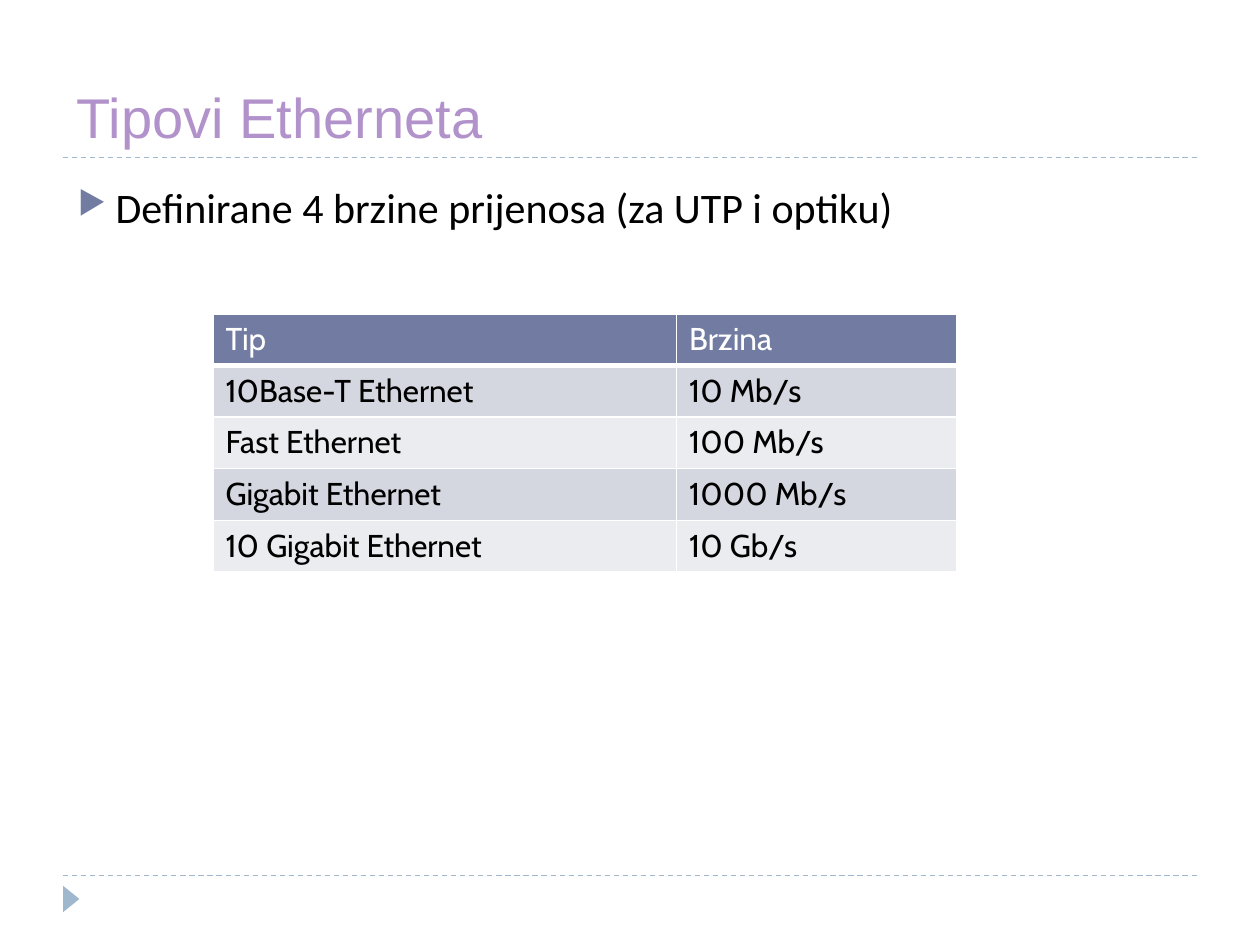
from lxml import etree
from pptx import Presentation, util as u
from pptx.dml.color import RGBColor
from pptx.enum import dml, shapes, text
from pptx.oxml.ns import qn

COLORS = {
    "rule": "9FB8CD",
    "title": "B292CA",
    "accent": "727CA3",
    "dark_band": "D5D7E0",
    "light_band": "EBECF0",
    "white": "FFFFFF",
    "black": "000000",
}


def rgb(name):
    return RGBColor.from_string(COLORS[name])


def add_color(parent, name):
    etree.SubElement(parent, qn("a:srgbClr"), val=COLORS[name])


class SlideBuilder:
    body_font = "Calibri"
    title_font = "Arial"
    table_font = "Cabin"

    def __init__(self, slide):
        self.slide = slide

    def style(self, paragraph, font, size, color):
        paragraph.font.name = font
        paragraph.font.size = u.Pt(size)
        paragraph.font.color.rgb = rgb(color)

    def rule(self, y):
        rule = self.slide.shapes.add_connector(
            shapes.MSO_CONNECTOR.STRAIGHT,
            u.Inches(0.5), u.Inches(y), u.Inches(9.5), u.Inches(y))
        rule.line.color.rgb = rgb("rule")
        rule.line.width = u.Pt(0.75)
        rule.line.dash_style = dml.MSO_LINE.DASH
        etree.SubElement(rule._element.spPr, qn("a:effectLst"))

    def marker(self, left, top, width, height):
        marker = self.slide.shapes.add_shape(
            shapes.MSO_SHAPE.ISOSCELES_TRIANGLE,
            u.Inches(left), u.Inches(top), u.Inches(width), u.Inches(height))
        marker.rotation = 90
        marker.shadow.inherit = False
        marker.fill.solid()
        marker.fill.fore_color.rgb = rgb("rule")
        marker.line.fill.background()

    def text_box(self, wording, left, top, width, height):
        box = self.slide.shapes.add_textbox(
            u.Inches(left), u.Inches(top), u.Inches(width), u.Inches(height))
        box.text_frame.word_wrap = True
        box.text_frame.auto_size = text.MSO_AUTO_SIZE.NONE
        paragraph = box.text_frame.paragraphs[0]
        paragraph.text = wording
        return paragraph

    def title(self, wording, *place):
        self.style(self.text_box(wording, *place), self.title_font, 32, "title")

    def bullet(self, wording, *place):
        paragraph = self.text_box(wording, *place)
        properties = paragraph._p.get_or_add_pPr()
        properties.set("marL", str(u.Inches(0.3)))
        properties.set("indent", str(-u.Inches(0.3)))
        add_color(etree.SubElement(properties, qn("a:buClr")), "accent")
        etree.SubElement(properties, qn("a:buSzPct"), val="76000")
        etree.SubElement(properties, qn("a:buChar"), char="▶")
        self.style(paragraph, self.body_font, 24, "black")

    def cell(self, cell, wording, fill, color, bottom):
        properties = cell._tc.get_or_add_tcPr()
        for side, width in (("L", 1), ("R", 1), ("T", 1), ("B", bottom)):
            border = etree.SubElement(properties, qn(f"a:ln{side}"), w=str(u.Pt(width)))
            add_color(etree.SubElement(border, qn("a:solidFill")), "white")
        cell.fill.solid()
        cell.fill.fore_color.rgb = rgb(fill)
        cell.text = wording
        self.style(cell.text_frame.paragraphs[0], self.table_font, 18, color)

    def table(self, rows, widths, left, top, row_height):
        table = self.slide.shapes.add_table(
            len(rows), len(widths), u.Inches(left), u.Inches(top),
            u.Inches(sum(widths)), u.Inches(row_height * len(rows))).table
        for column, width in zip(table.columns, widths):
            column.width = u.Inches(width)
        for r, row in enumerate(rows):
            if r == 0:
                look = ("accent", "white", 3)
            else:
                look = ("dark_band" if r % 2 else "light_band", "black", 1)
            for c, wording in enumerate(row):
                self.cell(table.cell(r, c), wording, *look)


def main():
    deck = Presentation()
    deck.slide_width, deck.slide_height = u.Inches(10), u.Inches(7.5)
    builder = SlideBuilder(deck.slides.add_slide(deck.slide_layouts[6]))

    for y in (6.95, 1.25):
        builder.rule(y)
    builder.marker(0.46, 7.07, 0.21, 0.13)
    builder.bullet("Definirane 4 brzine prijenosa (za UTP i optiku)", 0.52, 1.39, 8.7, 0.99)
    builder.title("Tipovi Etherneta", 0.51, 0.61, 6.58, 0.64)

    ethernet_types = [
        ("Tip", "Brzina"),
        ("10Base-T Ethernet", "10 Mb/s"),
        ("Fast Ethernet", "100 Mb/s"),
        ("Gigabit Ethernet", "1000 Mb/s"),
        ("10 Gigabit Ethernet", "10 Gb/s"),
    ]
    builder.table(ethernet_types, (3.68, 2.22), 1.69, 2.49, 0.41)
    deck.save("out.pptx")


if __name__ == "__main__":
    main()
